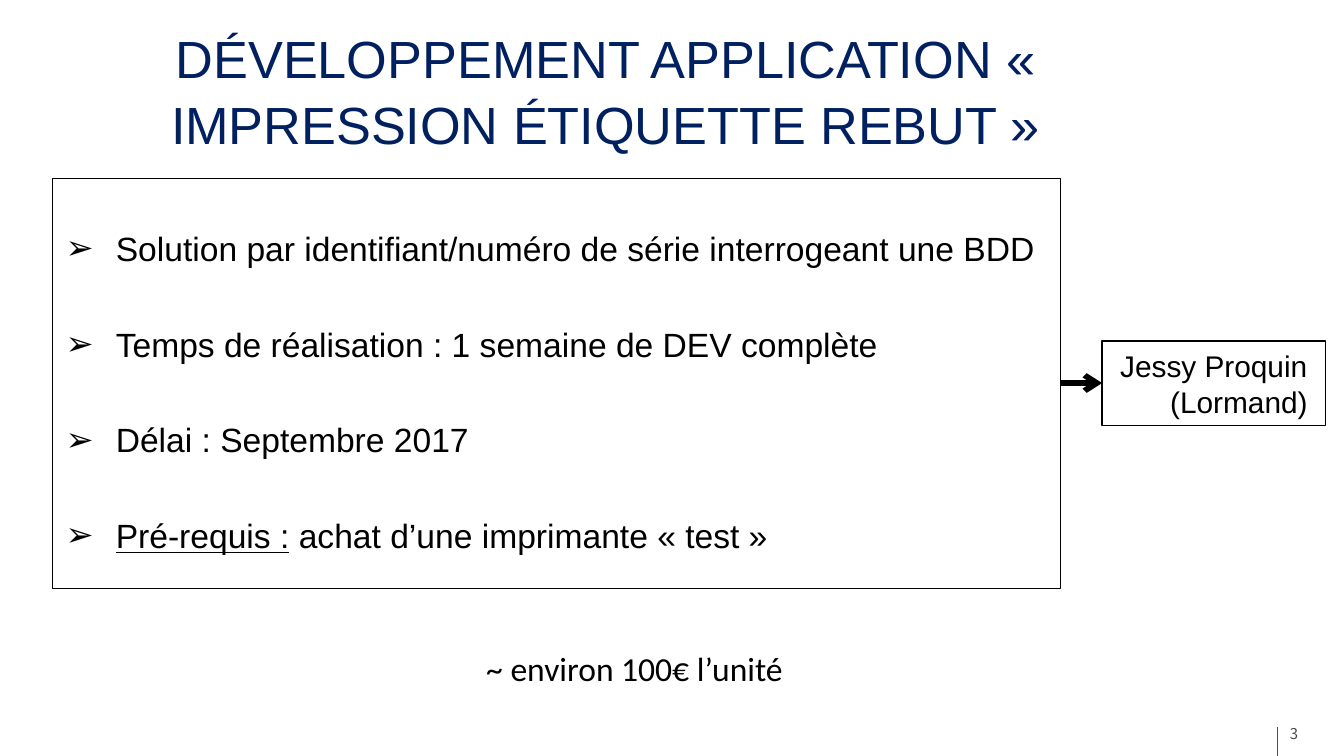
import pptx
import pptx.util
import pptx.dml.color
import pptx.enum.shapes
import pptx.enum.text
import pptx.oxml
import pptx.oxml.ns

Cm, Pt = pptx.util.Cm, pptx.util.Pt
ALIGN = pptx.enum.text.PP_ALIGN
ANCHOR = pptx.enum.text.MSO_ANCHOR

COLORS = {"title": "002060", "text": "000000", "line": "000000", "footer": "494C51"}
INDENT = Cm(0.95)

# Each item is a list of (text, font extras)
ITEMS = [
    [("Solution par identifiant/numéro de série interrogeant une BDD", {})],
    [("Temps de réalisation : 1 semaine de DEV complète", {})],
    [("Délai : Septembre 2017", {})],
    [("Pré-requis :", {"underline": True}), (" achat d’une imprimante « test »", {})],
]


def rgb(name):
    return pptx.dml.color.RGBColor.from_string(COLORS[name])


def apply(obj, values):
    for key, value in values.items():
        setattr(obj, key, value)


def add_runs(p, runs, size, font="Arial", color="text", **para):
    apply(p, para)
    for text, extras in runs:
        r = p.add_run()
        r.text = text
        apply(r.font, {"size": Pt(size), "name": font, **extras})
        r.font.color.rgb = rgb(color)


def hang(p, bullet=None):
    pPr = p._p.get_or_add_pPr()
    pPr.set("marL", str(INDENT))
    pPr.set("indent", str(-INDENT))
    if bullet:
        for tag, attr, value in (("buFont", "typeface", "Arial"), ("buChar", "char", bullet)):
            el = pptx.oxml.parse_xml(f'<a:{tag} {pptx.oxml.ns.nsdecls("a")}/>')
            el.set(attr, value)
            pPr.append(el)


def add_text(s, box, text, size, font, color, anchor=ANCHOR.TOP, **para):
    tf = s.shapes.add_textbox(*map(Cm, box)).text_frame
    apply(tf, {"word_wrap": True, "vertical_anchor": anchor})
    add_runs(tf.paragraphs[0], [(text, {})], size, font, color, **para)


def add_frame(s, box, anchor):
    sp = s.shapes.add_shape(pptx.enum.shapes.MSO_SHAPE.RECTANGLE, *map(Cm, box))
    sp.shadow.inherit = False
    sp.fill.background()
    sp.line.color.rgb = rgb("line")
    sp.line.width = Pt(0.75)
    apply(sp.text_frame, {"word_wrap": True, "vertical_anchor": anchor})
    return sp.text_frame


def add_line(s, start, end, color, width, arrow=False):
    c = s.shapes.add_connector(pptx.enum.shapes.MSO_CONNECTOR.STRAIGHT,
                               *map(Cm, start + end))
    c.line.color.rgb = rgb(color)
    c.line.width = Pt(width)
    ns = pptx.oxml.ns.nsdecls("a")
    if arrow:
        c.line._get_or_add_ln().append(pptx.oxml.parse_xml(f'<a:tailEnd {ns} type="arrow"/>'))
    c._element.spPr.append(pptx.oxml.parse_xml(f"<a:effectLst {ns}/>"))


def main():
    prs = pptx.Presentation()
    apply(prs, {"slide_width": Cm(25.4), "slide_height": Cm(14.29)})
    s = prs.slides.add_slide(prs.slide_layouts[6])

    # Slide number
    add_text(s, (24.13, 13.61, 1.27, 0.58), "3", 8, "Noto Sans CJK JP", "footer",
             line_spacing=0.93)
    add_line(s, (24.13, 13.74), (24.13, 14.33), "footer", 0.25)

    # Title
    add_text(s, (1.45, 0.36, 19.99, 2.64),
             "DÉVELOPPEMENT APPLICATION « IMPRESSION ÉTIQUETTE REBUT »",
             28, "Arial", "title", ANCHOR.MIDDLE, alignment=ALIGN.CENTER, line_spacing=1.05)

    # Main points
    tf = add_frame(s, (0.99, 3.38, 19.05, 7.75), ANCHOR.BOTTOM)
    tf.margin_bottom = Cm(0.63)
    for i, runs in enumerate(ITEMS):
        p = tf.add_paragraph() if i else tf.paragraphs[0]
        add_runs(p, runs, 18, alignment=ALIGN.LEFT, space_before=Pt(29.7 if i else 0))
        hang(p, "➢")

    # Price note
    add_text(s, (8.94, 12.12, 6.93, 1.02), "~ environ 100€ l’unité", 18, "Calibri", "text")

    # Person in charge
    add_line(s, (20.04, 7.24), (20.83, 7.24), "line", 3, arrow=True)
    tf = add_frame(s, (20.83, 6.45, 4.22, 1.6), ANCHOR.MIDDLE)
    p = tf.paragraphs[0]
    add_runs(p, [("Jessy Proquin (Lormand)", {})], 16, alignment=ALIGN.CENTER)
    hang(p)

    prs.save("out.pptx")


if __name__ == "__main__":
    main()
